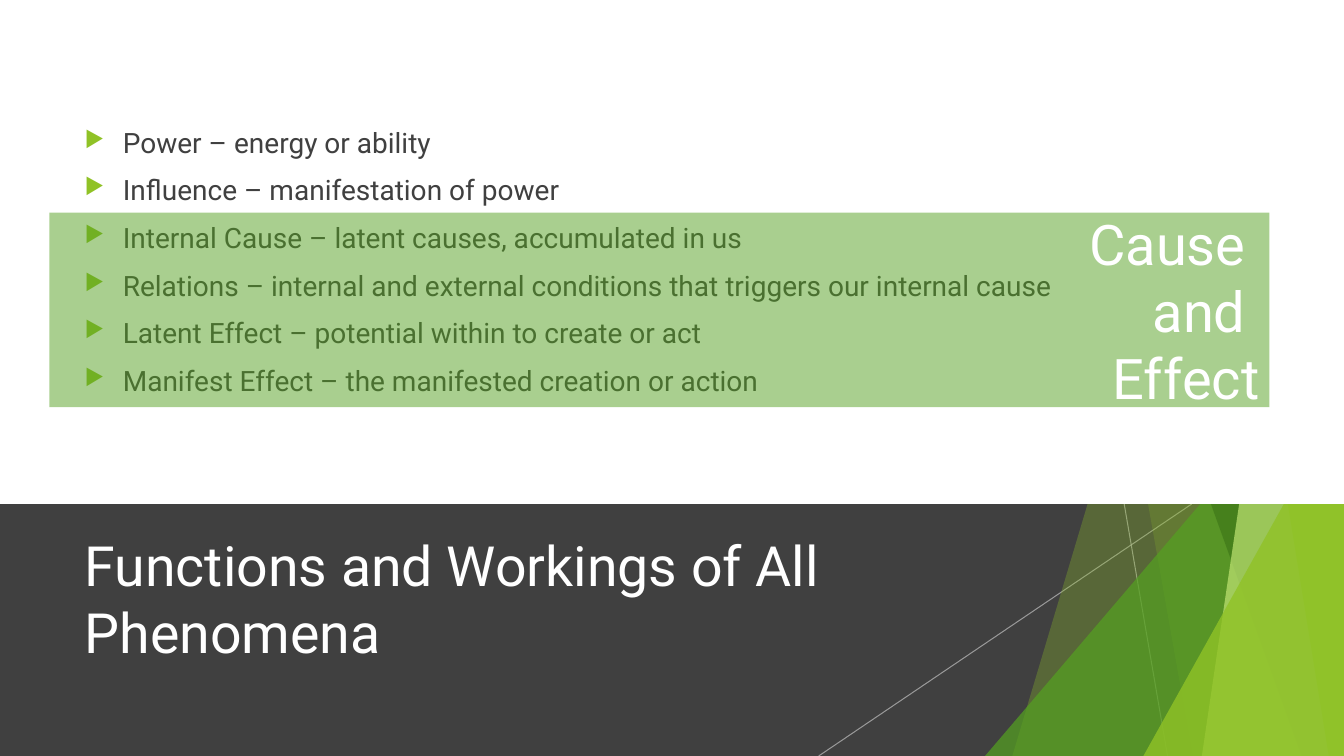
from lxml import etree
from pptx import Presentation
from pptx.dml.color import RGBColor
from pptx.enum import shapes, text
from pptx.oxml.ns import qn
from pptx.util import Inches, Pt

WIDTH, HEIGHT = 13.33, 7.5
BAND_TOP = 5
FONT = "Roboto"

WHITE = RGBColor(0xFF, 0xFF, 0xFF)
CHARCOAL = RGBColor(0x40, 0x40, 0x40)
SILVER = RGBColor(0xBF, 0xBF, 0xBF)
LIME = RGBColor(0x90, 0xC2, 0x26)
GREEN = RGBColor(0x54, 0xA0, 0x21)
FOREST = RGBColor(0x3F, 0x78, 0x19)
PALE_LIME = RGBColor(0xC0, 0xE4, 0x74)

TERMS = [
    "Power – energy or ability",
    "Influence – manifestation of power",
    "Internal Cause – latent causes, accumulated in us",
    "Relations – internal and external conditions that triggers our internal cause",
    "Latent Effect – potential within to create or act",
    "Manifest Effect – the manifested creation or action",
]
TITLE = "Functions and Workings of All Phenomena"
HIGHLIGHT_LINES = ["Cause ", "and ", "Effect"]

# Left edge at the top, left edge at the bottom, colour, opacity in percent
BACK_PANELS = [(12.28, 10.04, LIME, 30), (10.5, 11.83, LIME, 20)]
FRONT_PANELS = [
    (10.21, 12.91, FOREST, 70),
    (13.03, 11.92, PALE_LIME, 70),
    (11.96, 13.18, LIME, 65),
]


def set_opacity(fill_parent, percent):
    color = next(fill_parent.iter(qn("a:srgbClr")))
    etree.SubElement(color, qn("a:alpha"), val=str(percent * 1000))


def paint(shape, color, opacity=100):
    shape.shadow.inherit = False
    shape.line.fill.background()
    shape.fill.solid()
    shape.fill.fore_color.rgb = color
    if opacity < 100:
        set_opacity(shape.element.spPr, opacity)


def add_block(slide, kind, box, color, opacity=100):
    shape = slide.shapes.add_shape(kind, *map(Inches, box))
    paint(shape, color, opacity)
    return shape


def add_panel(slide, top_x, bottom_x, color, opacity):
    """Add a slanted panel that reaches the right edge of the slide."""
    builder = slide.shapes.build_freeform(Inches(top_x), 0)
    corners = [(WIDTH, 0), (WIDTH, HEIGHT), (bottom_x, HEIGHT)]
    builder.add_line_segments([(Inches(x), Inches(y)) for x, y in corners])
    paint(builder.convert_to_shape(), color, opacity)


def add_corner_triangle(slide, left, top, color, opacity):
    box = (left, top, WIDTH - left, HEIGHT - top)
    triangle = add_block(slide, shapes.MSO_SHAPE.ISOSCELES_TRIANGLE, box, color, opacity)
    triangle.adjustments[0] = 1


def add_ray(slide, top_x, bottom_x):
    points = (top_x, BAND_TOP, bottom_x, HEIGHT)
    ray = slide.shapes.add_connector(shapes.MSO_CONNECTOR.STRAIGHT, *map(Inches, points))
    ray.line.color.rgb = SILVER
    ray.line.width = Pt(0.75)
    set_opacity(ray.line._get_or_add_ln(), 70)
    etree.SubElement(ray.element.spPr, qn("a:effectLst"))


def set_frame(frame):
    settings = {
        "word_wrap": True,
        "auto_size": text.MSO_AUTO_SIZE.NONE,
        "vertical_anchor": text.MSO_ANCHOR.MIDDLE,
    }
    for name, value in settings.items():
        setattr(frame, name, value)


def set_font(paragraph, size, color):
    for name, value in {"name": FONT, "size": Pt(size), "bold": False}.items():
        setattr(paragraph.font, name, value)
    paragraph.font.color.rgb = color


def write_lines(frame, lines, size, color, alignment):
    set_frame(frame)
    frame.text = "\n".join(lines)
    for paragraph in frame.paragraphs:
        paragraph.alignment = alignment
        set_font(paragraph, size, color)


def add_bullet(paragraph):
    properties = paragraph._p.get_or_add_pPr()
    properties.set("marL", str(Inches(0.38)))
    properties.set("indent", str(-Inches(0.38)))
    bullet_color = etree.Element(qn("a:buClr"))
    etree.SubElement(bullet_color, qn("a:srgbClr"), val=str(LIME))
    bullet_size = etree.Element(qn("a:buSzPct"), val="80000")
    bullet = etree.Element(qn("a:buChar"), char="▶")
    # Bullet elements come after spacing and before the font
    position = len(properties.findall(qn("a:spcBef")))
    properties[position:position] = [bullet_color, bullet_size, bullet]


def add_terms(slide):
    box = slide.shapes.add_textbox(*map(Inches, (0.74, 0.47, 10.84, 4.24)))
    frame = box.text_frame
    write_lines(frame, TERMS, 20, CHARCOAL, text.PP_ALIGN.LEFT)
    for index, paragraph in enumerate(frame.paragraphs):
        if index:
            paragraph.space_before = Pt(10)
        add_bullet(paragraph)


def place_title(slide):
    title = slide.shapes.title
    box = {"left": 0.74, "top": 5.21, "width": 9.4, "height": 1.44}
    for name, value in box.items():
        setattr(title, name, Inches(value))
    write_lines(title.text_frame, [TITLE], 39.6, WHITE, text.PP_ALIGN.LEFT)
    title.element.getparent().append(title.element)


def add_highlight(slide):
    box = (0.49, 2.11, 12.1, 1.93)
    highlight = add_block(slide, shapes.MSO_SHAPE.RECTANGLE, box, GREEN, 50)
    write_lines(highlight.text_frame, HIGHLIGHT_LINES, 40, WHITE, text.PP_ALIGN.RIGHT)


def add_backdrop(slide):
    """Draw the dark band with its facets, then the white area above it."""
    rectangle = shapes.MSO_SHAPE.RECTANGLE
    add_block(slide, rectangle, (0, BAND_TOP, WIDTH, HEIGHT - BAND_TOP), CHARCOAL)
    for top_x, bottom_x in [(11.15, 11.58), (11.82, 8.12)]:
        add_ray(slide, top_x, bottom_x)
    for panel in BACK_PANELS:
        add_panel(slide, *panel)
    add_corner_triangle(slide, 9.77, 3.33, GREEN, 72)
    for panel in FRONT_PANELS:
        add_panel(slide, *panel)
    add_corner_triangle(slide, 11.34, 3.93, LIME, 80)
    add_block(slide, rectangle, (0, 0, WIDTH, BAND_TOP), WHITE)


def main():
    presentation = Presentation()
    presentation.slide_width = Inches(WIDTH)
    presentation.slide_height = Inches(HEIGHT)
    slide = presentation.slides.add_slide(presentation.slide_layouts.get_by_name("Title Only"))
    add_backdrop(slide)
    add_terms(slide)
    place_title(slide)
    add_highlight(slide)
    presentation.save("out.pptx")


if __name__ == "__main__":
    main()
